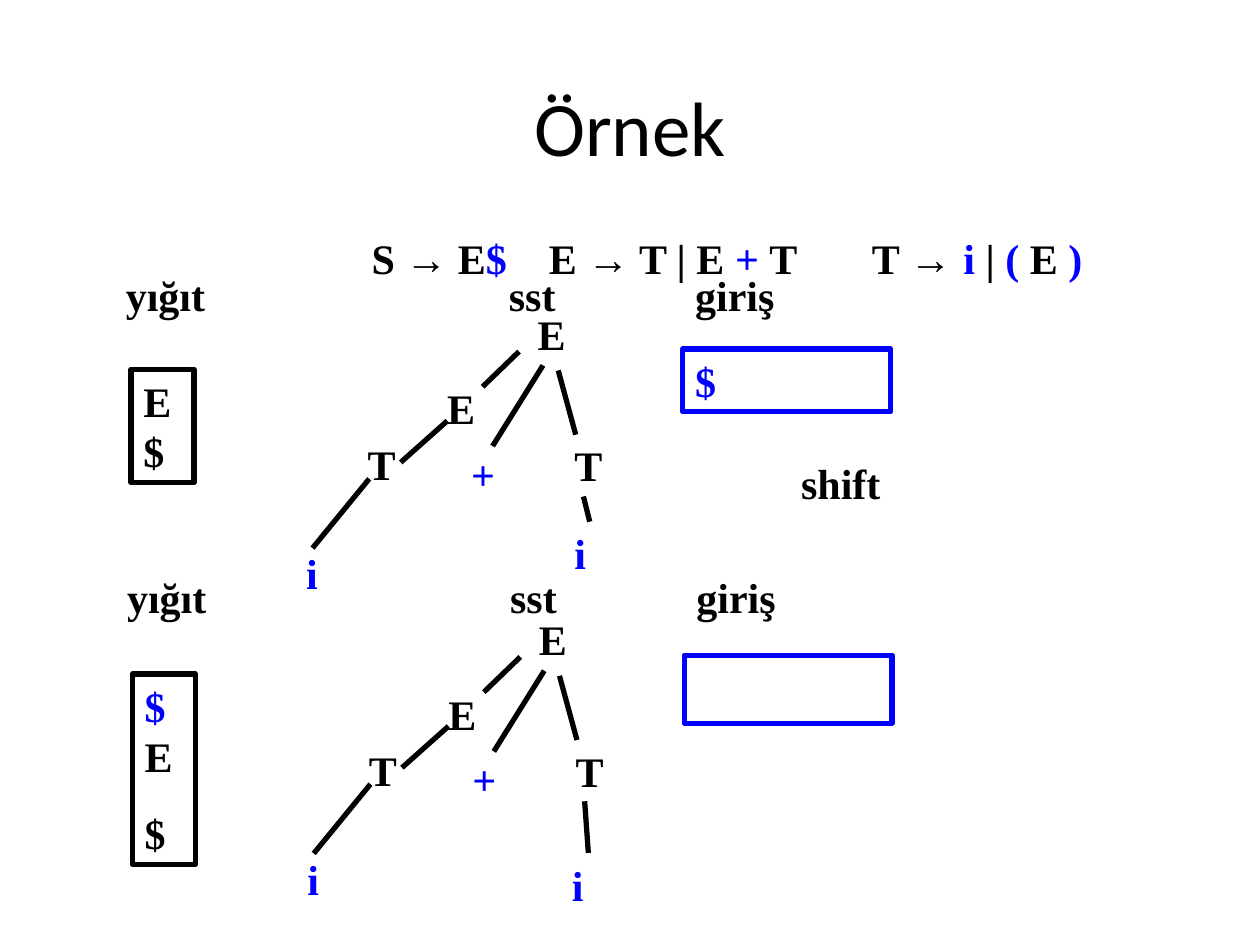
from lxml import etree
from pptx import Presentation
from pptx.dml.color import RGBColor
from pptx.enum.shapes import MSO_CONNECTOR, MSO_SHAPE
from pptx.enum.text import MSO_ANCHOR, PP_ALIGN
from pptx.oxml.ns import qn
from pptx.util import Pt

RECT = MSO_SHAPE.RECTANGLE
LINE = MSO_CONNECTOR.STRAIGHT
LEFT, MID = PP_ALIGN.LEFT, PP_ALIGN.CENTER
TOP, CENTER = MSO_ANCHOR.TOP, MSO_ANCHOR.MIDDLE
HEX = {"black": "000000", "blue": "0000FF"}
INK = {name: RGBColor.from_string(code) for name, code in HEX.items()}
SERIF = "Times New Roman"

deck = Presentation()
deck.slide_width, deck.slide_height = Pt(720), Pt(540)
slide = deck.slides.add_slide(deck.slide_layouts[6])
shapes = slide.shapes


def label(x, y, wide, paras, tint="black", high=36, edge=None):
    """Add text, in a frame if edge is given; runs are (text, tint, font)."""
    area = Pt(x), Pt(y), Pt(wide), Pt(high)
    if edge:
        box = shapes.add_shape(RECT, *area)
        box.shadow.inherit = False
        box.fill.background()
        box.line.color.rgb = INK[edge]
        box.line.width = Pt(3)
    else:
        box = shapes.add_textbox(*area)
    frame = box.text_frame
    frame.word_wrap = True
    frame.vertical_anchor = TOP
    if isinstance(paras, str):
        paras = [[(paras, tint, SERIF)]]
    for n, runs in enumerate(paras):
        para = frame.add_paragraph() if n else frame.paragraphs[0]
        para.alignment = LEFT
        if n:
            para.space_before = Pt(15)
        for text, ink, face in runs:
            run = para.add_run()
            run.text = text
            run.font.name = face
            run.font.size = Pt(24)
            run.font.bold = True
            run.font.color.rgb = INK[ink]
    return box


def branch(x1, y1, x2, y2):
    link = shapes.add_connector(LINE, Pt(x1), Pt(y1), Pt(x2), Pt(y2))
    link.line.color.rgb = INK["black"]
    link.line.width = Pt(3)
    etree.SubElement(link._element.spPr, qn("a:effectLst"))


# Title
title = shapes.add_textbox(Pt(54), Pt(26.6), Pt(612), Pt(90))
title.text_frame.word_wrap = True
title.text_frame.vertical_anchor = CENTER
para = title.text_frame.paragraphs[0]
para.text = "Örnek"
para.alignment = MID
para.font.name = "Calibri"
para.font.size = Pt(44)
para.font.color.rgb = INK["black"]

# Grammar rules, spaced with tab stops
rules = [
    ("S ", "black", SERIF), ("→", "black", "Arial"), (" E", "black", SERIF),
    ("$\t", "blue", SERIF), ("E ", "black", SERIF), ("→", "black", "Arial"),
    (" T | E ", "black", SERIF), ("+ ", "blue", SERIF),
    ("T\tT ", "black", SERIF), ("→ ", "black", "Arial"),
    ("i ", "blue", SERIF), ("| ", "black", SERIF), ("( ", "blue", SERIF),
    ("E ", "black", SERIF), (")", "blue", SERIF),
]
grammar = label(205.2, 129.6, 471.6, [rules])
props = grammar.text_frame.paragraphs[0]._p.get_or_add_pPr()
tabs = etree.SubElement(props, qn("a:tabLst"))
for stop in (101.3, 286):
    etree.SubElement(tabs, qn("a:tab"), pos=str(int(Pt(stop))), algn="l")

# Column heads and syntax tree, the same in both steps
heads = [(64.8, 80.6, "yığıt"), (283.7, 80.6, "sst"), (390.2, 142.6, "giriş")]
nodes = [
    (300.2, 172.8, 23.8, "E", "black"),
    (248.4, 215.3, 23.8, "E", "black"),
    (203, 247.2, 50.4, "T", "black"),
    (167.8, 309.6, 32.4, "i", "blue"),
    (262.1, 252.7, 38.2, "+", "blue"),
    (321.1, 247.7, 25.2, "T", "black"),
]
edges = [
    (296.6, 200.9, 275.8, 221),
    (255.6, 240.5, 229, 264.2),
    (211, 273.6, 178.6, 313.2),
    (310.3, 208.8, 281.5, 254.9),
    (319, 211.7, 329, 248.4),
]
for dx, drop, dy in ((0, 0, 0), (0.7, 172.8, 174.5)):
    for x, wide, text in heads:
        label(x + dx, 150.5 + drop, wide, text)
    for x, y, wide, text, tint in nodes:
        label(x + dx, y + dy, wide, text, tint)
    for x1, y1, x2, y2 in edges:
        branch(x1 + dx, y1 + dy, x2 + dx, y2 + dy)

# Right leaf of each tree
branch(333.4, 283.7, 337, 298.1)
label(321.1, 298.1, 32.4, "i", "blue")
branch(334.1, 457.9, 336.2, 487.4)
label(319.7, 487.4, 32.4, "i", "blue")

# Stack and input before the shift
label(74.9, 211, 36, "E$", high=64.8, edge="black")
label(390.2, 199.4, 118.8, "$", "blue", edge="blue")
label(450.7, 257.8, 232.6, "shift")

# Stack and input after the shift
stack = [[("$ ", "blue", SERIF), ("E", "black", SERIF)],
         [("$", "black", SERIF)]]
label(75.6, 385.2, 36, stack, high=108.7, edge="black")
label(391, 374.4, 118.8, [], high=38.9, edge="blue")

deck.save("out.pptx")
